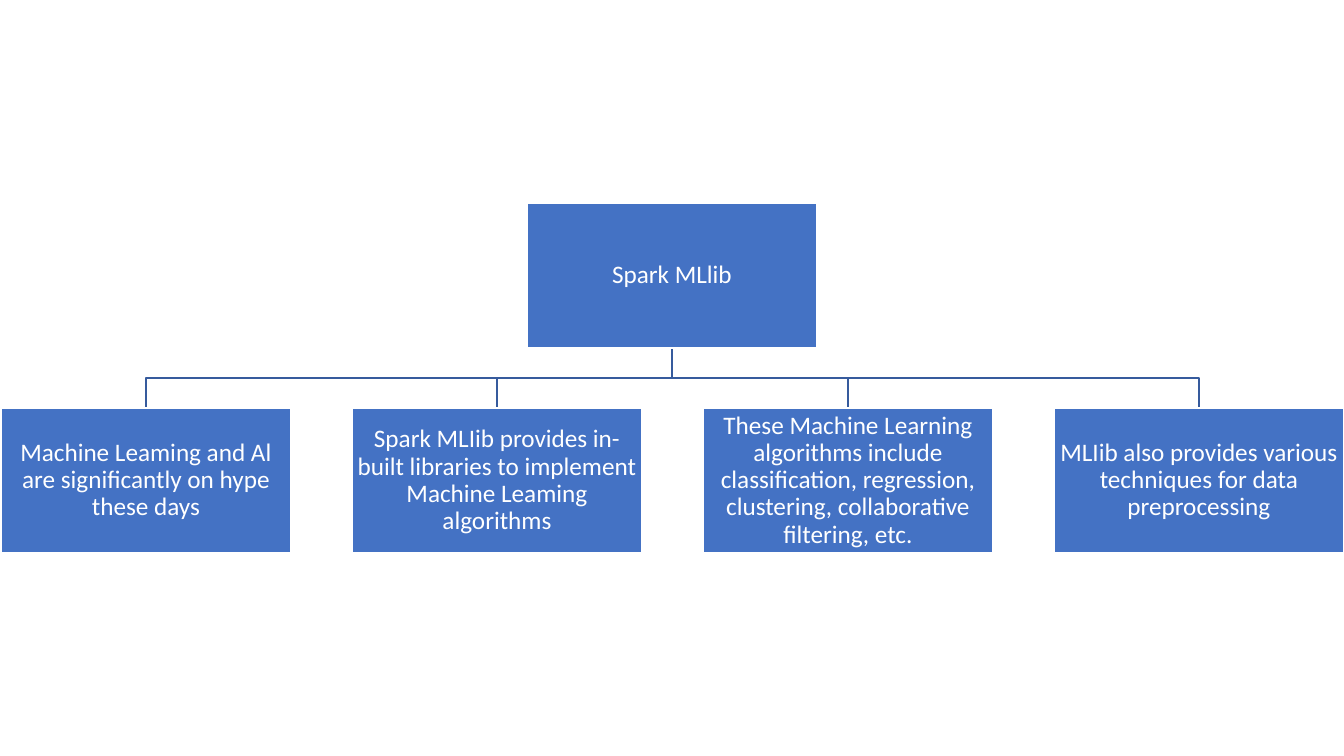
from dataclasses import dataclass

from pptx import Presentation
from pptx.dml.color import RGBColor
from pptx.enum.shapes import MSO_SHAPE
from pptx.enum.text import MSO_ANCHOR, PP_ALIGN
from pptx.util import Emu, Pt

EMU_PER_PX = 914400 / 100.8
SLIDE_WIDTH, SLIDE_HEIGHT = 1344, 756
BOX_WIDTH, BOX_HEIGHT = 290, 145
ROOT_LEFT, ROOT_TOP = 527, 203
LEAF_LEFT, LEAF_TOP, LEAF_PITCH = 1, 408, 351

ROOT_TEXT = "Spark MLlib"
LEAF_TEXTS = [
    "Machine Leaming and Al are significantly on hype these days",
    "Spark MLIib provides in-built libraries to implement Machine Leaming algorithms",
    "These Machine Learning algorithms include classification, regression, "
    "clustering, collaborative filtering, etc.",
    "MLIib also provides various techniques for data preprocessing",
]


@dataclass(frozen=True)
class Theme:
    box_fill: RGBColor = RGBColor(0x44, 0x72, 0xC4)
    box_line: RGBColor = RGBColor(0xFF, 0xFF, 0xFF)
    text: RGBColor = RGBColor(0xFF, 0xFF, 0xFF)
    branch: RGBColor = RGBColor(0x36, 0x5B, 0x9D)
    font: str = "Calibri"
    text_size: Pt = Pt(18)
    line_width: Pt = Pt(1)
    line_spacing: float = 0.9


def px(length):
    return Emu(round(length * EMU_PER_PX))


class HierarchyChart:
    def __init__(self, slide, theme):
        self.slide = slide
        self.theme = theme

    def branch(self, start_x, start_y, end_x, end_y):
        """Draw a line going down, across at half height, then down."""
        middle_y = (start_y + end_y) // 2
        builder = self.slide.shapes.build_freeform(start_x, start_y, scale=EMU_PER_PX)
        builder.add_line_segments(
            [(start_x, middle_y), (end_x, middle_y), (end_x, end_y)], close=False
        )
        shape = builder.convert_to_shape()
        shape.shadow.inherit = False
        shape.fill.background()
        shape.line.color.rgb = self.theme.branch
        shape.line.width = self.theme.line_width

    def box(self, left, top, text):
        shape = self.slide.shapes.add_shape(
            MSO_SHAPE.RECTANGLE, px(left), px(top), px(BOX_WIDTH), px(BOX_HEIGHT)
        )
        shape.shadow.inherit = False
        shape.fill.solid()
        shape.fill.fore_color.rgb = self.theme.box_fill
        shape.line.color.rgb = self.theme.box_line
        shape.line.width = self.theme.line_width

        frame = shape.text_frame
        frame.word_wrap = True
        frame.vertical_anchor = MSO_ANCHOR.MIDDLE
        frame.margin_left = frame.margin_right = px(1)
        frame.margin_top = frame.margin_bottom = px(1)
        frame.text = text
        paragraph = frame.paragraphs[0]
        paragraph.alignment = PP_ALIGN.CENTER
        paragraph.line_spacing = self.theme.line_spacing
        font = paragraph.runs[0].font
        font.name = self.theme.font
        font.size = self.theme.text_size
        font.color.rgb = self.theme.text


def main():
    presentation = Presentation()
    presentation.slide_width = px(SLIDE_WIDTH)
    presentation.slide_height = px(SLIDE_HEIGHT)
    slide = presentation.slides.add_slide(presentation.slide_layouts[6])
    chart = HierarchyChart(slide, Theme())

    half_width = BOX_WIDTH // 2
    leaf_lefts = [LEAF_LEFT + index * LEAF_PITCH for index in range(len(LEAF_TEXTS))]
    for left in leaf_lefts:
        chart.branch(
            ROOT_LEFT + half_width, ROOT_TOP + BOX_HEIGHT, left + half_width, LEAF_TOP
        )
    chart.box(ROOT_LEFT, ROOT_TOP, ROOT_TEXT)
    for left, text in zip(leaf_lefts, LEAF_TEXTS):
        chart.box(left, LEAF_TOP, text)

    presentation.save("out.pptx")


if __name__ == "__main__":
    main()
